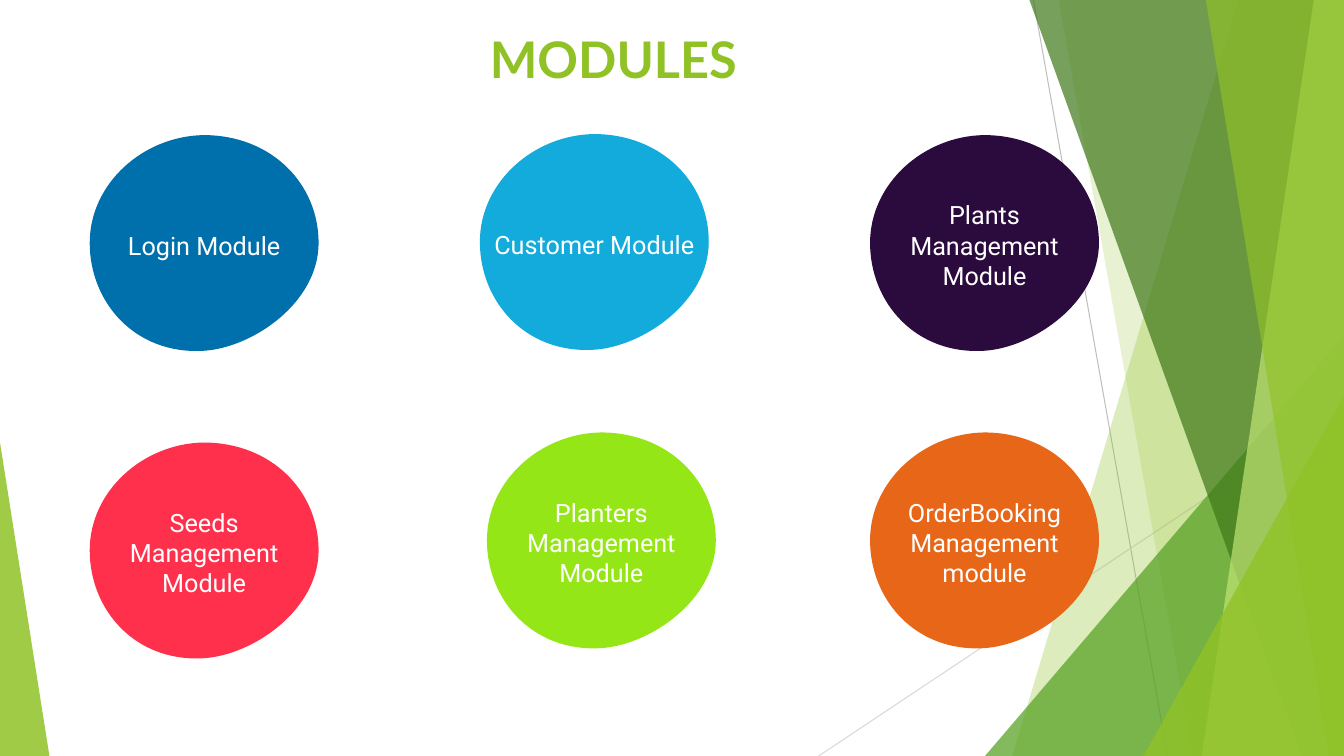
from dataclasses import dataclass
from lxml.etree import SubElement
from pptx import Presentation
from pptx.dml.color import RGBColor
from pptx.enum.shapes import MSO_CONNECTOR, MSO_SHAPE
from pptx.enum.text import MSO_ANCHOR, PP_ALIGN
from pptx.oxml.ns import qn
from pptx.util import Inches, Pt


@dataclass(frozen=True)
class Theme:
    lime: str = "90C226"
    pale_lime: str = "C0E474"
    green: str = "54A021"
    forest: str = "3F7819"
    white: str = "FFFFFF"
    near_line: str = "BFBFBF"
    far_line: str = "D9D9D9"
    title_font: str = "Lato"
    body_font: str = "Roboto"
    title_size: int = 36
    body_size: int = 18


THEME = Theme()
WIDTH, HEIGHT = 13.33, 7.5

# Label, fill, and offset from the grid cell
MODULES = [
    ("Login Module", "0070AD", (0, 0)),
    ("Customer Module", "12ABDB", (0, -0.01)),
    ("Plants Management Module", "2B0A3D", (0, 0)),
    ("Seeds Management Module", "FF304C", (0, 0.1)),
    ("Planters\nManagement Module", "95E616", (0.07, 0)),
    ("OrderBooking Management module", "E76618", (0, 0)),
]
BLOB_SIZE = (2.27, 2.15)
# Start point, then two control points and an end point for each curve
BLOB_OUTLINE = [
    (0, 1.07),
    (0, 0.48), (0.53, 0.01), (1.13, 0),
    (1.8, 0), (2.27, 0.48), (2.27, 1.07),
    (2.27, 1.66), (1.62, 2.11), (1.13, 2.14),
    (0.45, 2.18), (0, 1.66), (0, 1.07),
]


def paint(shape, color, opacity=100):
    shape.shadow.inherit = False
    shape.line.fill.background()
    shape.fill.solid()
    shape.fill.fore_color.rgb = RGBColor.from_string(color)
    if opacity < 100:
        tint = shape.fill._xPr.find(qn("a:solidFill"))[0]
        SubElement(tint, qn("a:alpha"), val=str(opacity * 1000))


def write(shape, text, *, font, size, color, bold=False,
          align=PP_ALIGN.LEFT, anchor=MSO_ANCHOR.TOP):
    frame = shape.text_frame
    frame.word_wrap = True
    frame.vertical_anchor = anchor
    for index, line in enumerate(text.split("\n")):
        para = frame.paragraphs[0] if index == 0 else frame.add_paragraph()
        para.alignment = align
        span = para.add_run()
        span.text = line
        span.font.name = font
        span.font.size = Pt(size)
        span.font.bold = bold
        span.font.color.rgb = RGBColor.from_string(color)


def add_outline(page, points):
    points = [(Inches(x), Inches(y)) for x, y in points]
    builder = page.shapes.build_freeform(*points[0])
    builder.add_line_segments(points[1:], close=True)
    return builder.convert_to_shape()


def add_band(page, top_left, bottom_left, color, opacity):
    """Full-height band that reaches the right edge of the slide."""
    band = add_outline(page, [(top_left, 0), (WIDTH, 0),
                              (WIDTH, HEIGHT), (bottom_left, HEIGHT)])
    paint(band, color, opacity)


def add_corner(page, left, top, width, apex, color, opacity):
    """Triangle that stands on the bottom edge of the slide."""
    corner = page.shapes.add_shape(
        MSO_SHAPE.ISOSCELES_TRIANGLE, Inches(left), Inches(top),
        Inches(width), Inches(HEIGHT - top))
    corner.adjustments[0] = apex
    paint(corner, color, opacity)


def add_hairline(page, start, end, color):
    line = page.shapes.add_connector(
        MSO_CONNECTOR.STRAIGHT, *(Inches(value) for value in (*start, *end)))
    line.line.color.rgb = RGBColor.from_string(color)
    line.line.width = Pt(0.75)
    SubElement(line._element.spPr, qn("a:effectLst"))


def add_backdrop(page):
    add_hairline(page, (10.25, 0), (11.58, HEIGHT), THEME.near_line)
    add_hairline(page, (WIDTH, 4.03), (8.12, HEIGHT), THEME.far_line)
    add_band(page, 12.28, 10.04, THEME.lime, 30)
    add_band(page, 10.5, 11.83, THEME.lime, 20)
    add_corner(page, 9.77, 3.33, WIDTH - 9.77, 1, THEME.green, 72)
    add_band(page, 10.21, 12.91, THEME.forest, 70)
    add_band(page, 13.03, 11.92, THEME.pale_lime, 70)
    add_band(page, 11.96, 13.18, THEME.lime, 65)
    add_corner(page, 11.34, 3.93, WIDTH - 11.34, 1, THEME.lime, 80)
    add_corner(page, 0, 4.39, 0.49, 0, THEME.lime, 85)


def add_title(page, left, top, width, height):
    box = page.shapes.add_textbox(*map(Inches, (left, top, width, height)))
    write(box, "MODULES", font=THEME.title_font, size=THEME.title_size,
          color=THEME.lime, bold=True)


def add_blob(page, left, top, label, color):
    blob = add_outline(page, [(left + x, top + y) for x, y in BLOB_OUTLINE])
    # Turn each group of three straight segments into one cubic curve
    segments = list(blob._element.iter(qn("a:lnTo")))
    for first in range(0, len(segments), 3):
        curve, *others = segments[first:first + 3]
        bezier = SubElement(curve.getparent(), qn("a:cubicBezTo"))
        curve.addprevious(bezier)
        for segment in (curve, *others):
            bezier.append(segment[0])
            segment.getparent().remove(segment)
    paint(blob, color)
    write(blob, label, font=THEME.body_font, size=THEME.body_size,
          color=THEME.white, align=PP_ALIGN.CENTER, anchor=MSO_ANCHOR.MIDDLE)


def add_module_grid(page, left, top, width, height, columns=3, rows=2):
    column_step = (width - BLOB_SIZE[0]) / (columns - 1)
    row_step = (height - BLOB_SIZE[1]) / (rows - 1)
    for index, (label, color, (shift_x, shift_y)) in enumerate(MODULES):
        row, column = divmod(index, columns)
        add_blob(page, left + column * column_step + shift_x,
                 top + row * row_step + shift_y, label, color)


def main():
    deck = Presentation()
    deck.slide_width, deck.slide_height = Inches(WIDTH), Inches(HEIGHT)
    page = deck.slides.add_slide(deck.slide_layouts[6])
    add_backdrop(page)
    add_title(page, 4.76, 0.23, WIDTH / 2, 0.71)
    add_module_grid(page, 0.89, 1.34, 10.01, 5.1)
    deck.save("out.pptx")


if __name__ == "__main__":
    main()
